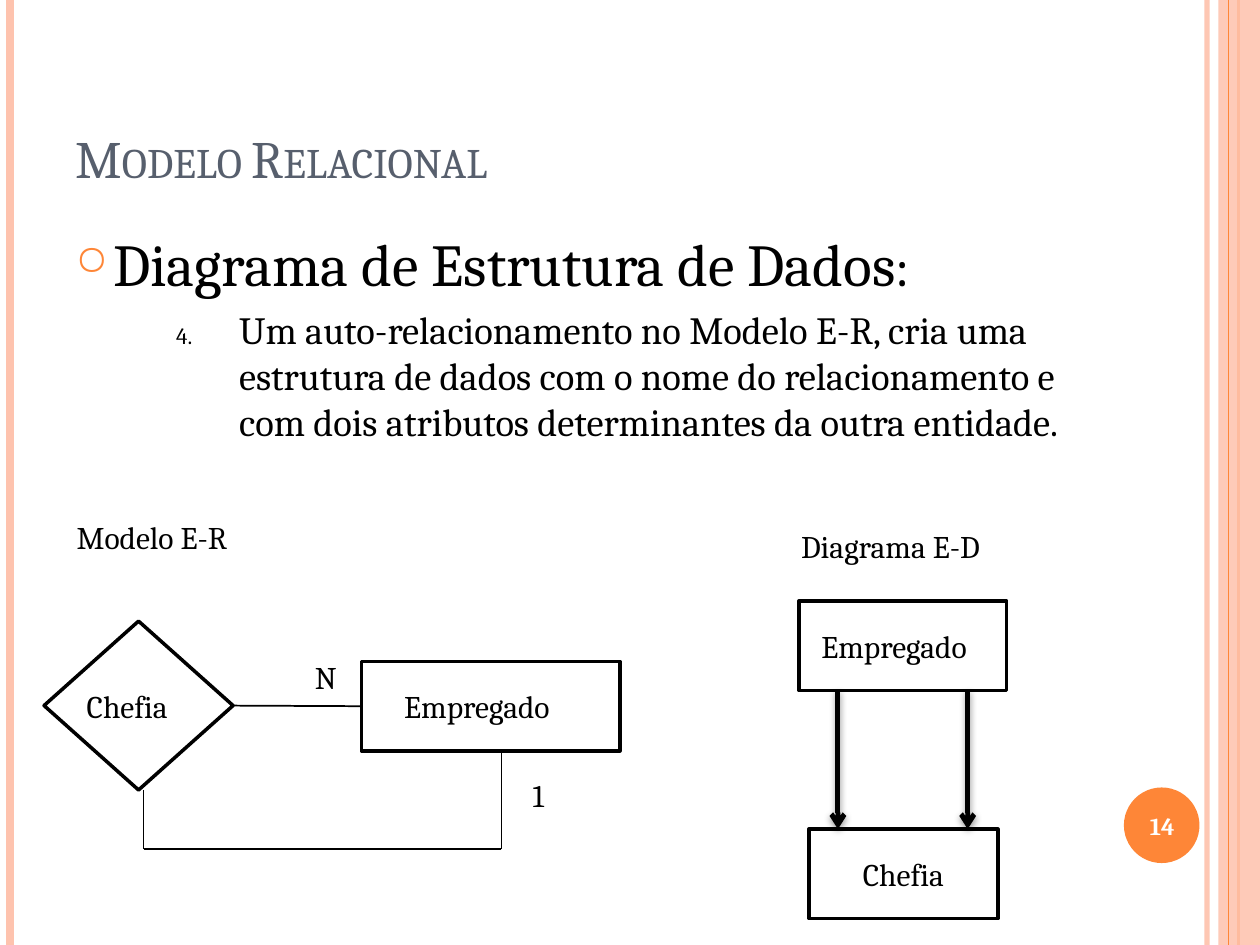
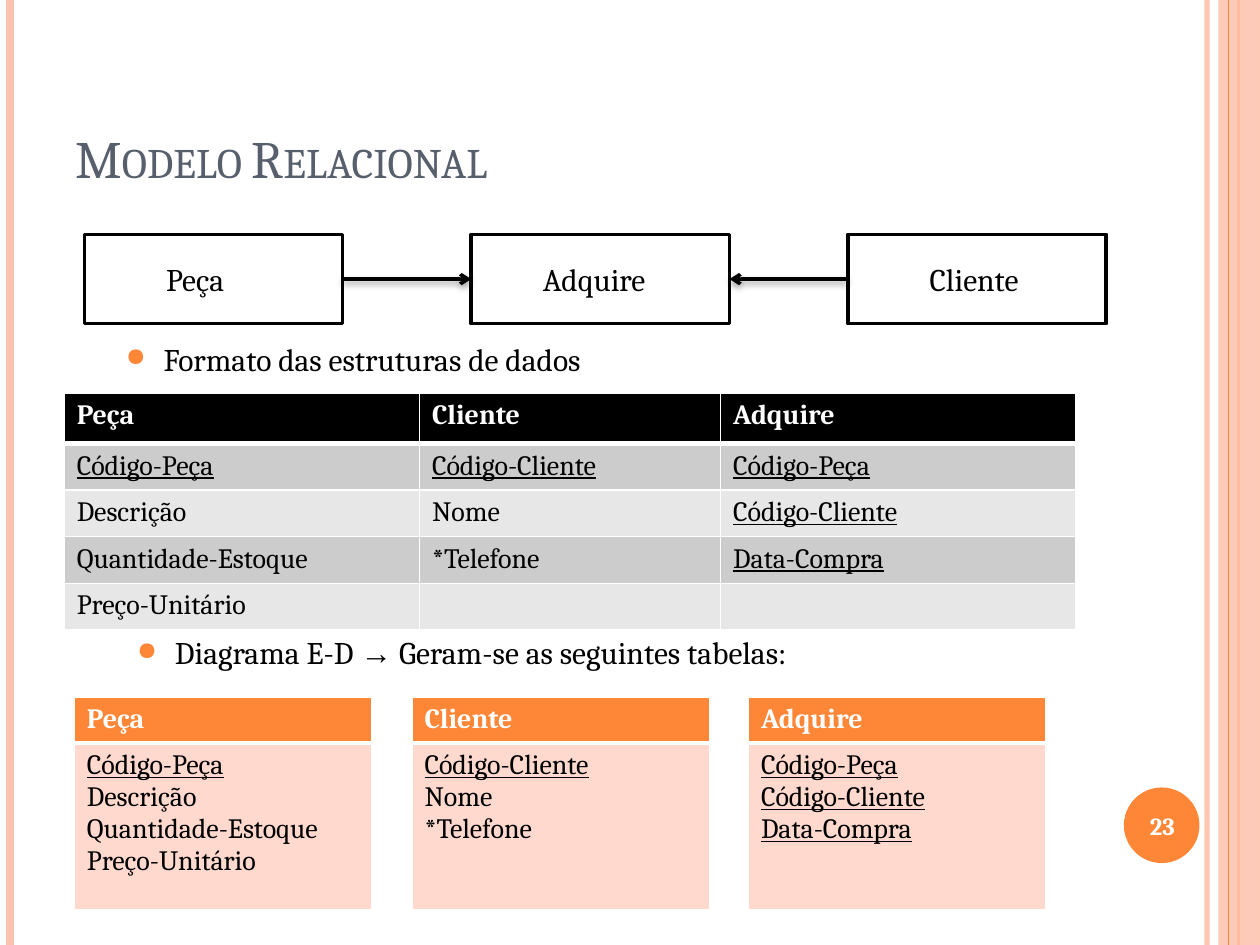
from dataclasses import dataclass
from itertools import pairwise
from typing import NamedTuple, Optional

from lxml.etree import SubElement
from pptx import Presentation
from pptx.dml.color import RGBColor
from pptx.enum.shapes import MSO_CONNECTOR, MSO_SHAPE
from pptx.enum.text import MSO_ANCHOR, MSO_AUTO_SIZE, PP_ALIGN
from pptx.oxml.ns import qn
from pptx.util import Inches, Pt


@dataclass(frozen=True)
class Theme:
    """Colours, fonts and type sizes of the deck."""

    font: str = "Cambria"
    symbol_font: str = "Times New Roman"
    black: RGBColor = RGBColor(0, 0, 0)
    white: RGBColor = RGBColor(255, 255, 255)
    title: RGBColor = RGBColor.from_string("575F6D")
    orange: RGBColor = RGBColor.from_string("FE8637")
    peach: RGBColor = RGBColor.from_string("FEC3AE")
    pale: RGBColor = RGBColor.from_string("FFD9CE")
    grey_dark: RGBColor = RGBColor.from_string("CCCCCC")
    grey_light: RGBColor = RGBColor.from_string("E7E7E7")
    title_size: int = 30
    heading_size: int = 34
    colon_size: int = 31
    item_size: int = 22
    label_size: int = 18
    cell_size: int = 16
    number_size: int = 14


THEME = Theme()


class Words(NamedTuple):
    """A run of text with its formatting."""

    text: str
    size: int = THEME.label_size
    color: RGBColor = THEME.black
    bold: bool = False
    underline: bool = False
    font: str = THEME.font


class Band(NamedTuple):
    """A vertical line over the full slide height."""

    x: float
    color: RGBColor
    weight: float
    alpha: int = 100


class Bullet(NamedTuple):
    """A bullet or number with its indents."""

    margin: float
    hanging: float
    percent: int
    char: str = ""
    start: int = 1
    level: int = 0


class Node(NamedTuple):
    """An outlined diagram shape and the place of its label."""

    label: str
    left: float
    top: float
    width: float
    label_left: float
    label_width: float
    height: float = 0.71
    kind: MSO_SHAPE = MSO_SHAPE.RECTANGLE


class Shadow(NamedTuple):
    """A soft shadow straight below a line."""

    alpha: int
    distance: float


class Entity(NamedTuple):
    """A data structure and its attributes, key attributes first."""

    name: str
    attributes: tuple[str, ...]
    keys: int
    left: float


BANDS = (Band(9.58, THEME.peach, 3, 93), Band(0.08, THEME.peach, 4.5),
         Band(9.83, THEME.orange, 1.5))
INNER_BAND = Band(9.75, THEME.orange, 0.75)
DISC = Bullet(0.7, -0.3, 80, "●", level=1)
ENTITIES = (
    Entity("Peça", ("Código-Peça", "Descrição", "Quantidade-Estoque", "Preço-Unitário"), 1, 0.59),
    Entity("Cliente", ("Código-Cliente", "Nome", "*Telefone"), 1, 3.27),
    Entity("Adquire", ("Código-Peça", "Código-Cliente", "Data-Compra"), 3, 5.94),
)


def write(paragraph, *runs: Words) -> None:
    """Add formatted runs to a paragraph."""
    for words in runs:
        run = paragraph.add_run()
        run.text = words.text
        font = run.font
        font.name, font.size, font.bold = words.font, Pt(words.size), words.bold
        font.underline = words.underline
        font.color.rgb = words.color


def text_box(slide, left: float, top: float, width: float, height: float, wrap: bool = True):
    """Add an empty text box and return its text frame."""
    frame = slide.shapes.add_textbox(Inches(left), Inches(top), Inches(width), Inches(height)).text_frame
    frame.word_wrap = wrap
    return frame


def label(slide, text: str, left: float, top: float, width: float) -> None:
    """Add a one-line diagram label."""
    frame = text_box(slide, left, top, width, 0.4, wrap=False)
    frame.auto_size = MSO_AUTO_SIZE.SHAPE_TO_FIT_TEXT
    write(frame.paragraphs[0], Words(text))


def set_alpha(shape, percent: int) -> None:
    """Make the colour of a shape or line partly transparent."""
    color = next(shape._element.spPr.iter(qn("a:srgbClr")))
    SubElement(color, qn("a:alpha"), val=str(percent * 1000))


def set_bullet(paragraph, bullet: Bullet) -> None:
    """Give a paragraph its bullet and indents."""
    props = paragraph._p.get_or_add_pPr()
    props.set("marL", str(Inches(bullet.margin)))
    props.set("indent", str(Inches(bullet.hanging)))
    paragraph.level = bullet.level
    if bullet.char:
        SubElement(SubElement(props, qn("a:buClr")), qn("a:srgbClr"), val=str(THEME.orange))
    SubElement(props, qn("a:buSzPct"), val=str(bullet.percent * 1000))
    if bullet.char:
        SubElement(props, qn("a:buChar"), char=bullet.char)
    else:
        SubElement(props, qn("a:buAutoNum"), type="arabicPeriod", startAt=str(bullet.start))


def line(slide, start: tuple[float, float], end: tuple[float, float], color: RGBColor = THEME.black,
         weight: float = 1, shadow: Optional[Shadow] = None):
    """Draw a straight line; one with a shadow is an arrow."""
    points = [Inches(value) for value in (*start, *end)]
    connector = slide.shapes.add_connector(MSO_CONNECTOR.STRAIGHT, *points)
    connector.line.color.rgb = color
    connector.line.width = Pt(weight)
    props = connector._element.spPr
    effects = SubElement(props, qn("a:effectLst"))
    if shadow:
        SubElement(props.find(qn("a:ln")), qn("a:tailEnd"), type="arrow")
        outer = SubElement(effects, qn("a:outerShdw"), blurRad=str(Pt(4)),
                           dist=str(Pt(shadow.distance)), dir="5400000", rotWithShape="0")
        tint = SubElement(outer, qn("a:srgbClr"), val=str(THEME.black))
        SubElement(tint, qn("a:alpha"), val=str(shadow.alpha * 1000))
    return connector


def join(connector, source, source_side: int, target, target_side: int) -> None:
    """Glue a connector to the sides of two shapes."""
    connector.begin_connect(source, source_side)
    connector.end_connect(target, target_side)


def filled(slide, kind: MSO_SHAPE, left: float, top: float, width: float, height: float, color: RGBColor):
    """Draw a filled shape without an outline."""
    shape = slide.shapes.add_shape(kind, Inches(left), Inches(top), Inches(width), Inches(height))
    shape.shadow.inherit = False
    shape.fill.solid()
    shape.fill.fore_color.rgb = color
    shape.line.fill.background()
    return shape


def draw_node(slide, node: Node):
    """Draw a diagram shape with its label centred in height."""
    shape = slide.shapes.add_shape(node.kind, Inches(node.left), Inches(node.top),
                                   Inches(node.width), Inches(node.height))
    shape.shadow.inherit = False
    shape.fill.background()
    shape.line.color.rgb = THEME.black
    shape.line.width = Pt(2)
    label(slide, node.label, node.label_left, node.top + node.height / 2 - 0.2, node.label_width)
    return shape


def draw_band(slide, band: Band) -> None:
    """Draw one vertical band line."""
    connector = line(slide, (band.x, 0), (band.x, 7.5), band.color, band.weight)
    if band.alpha < 100:
        set_alpha(connector, band.alpha)


def new_slide(prs, number: int):
    """Add a slide with bands, title and page number."""
    slide = prs.slides.add_slide(prs.slide_layouts[6])
    for band in BANDS:
        draw_band(slide, band)
    set_alpha(filled(slide, MSO_SHAPE.RECTANGLE, 9.67, 0, 0.33, 7.5, THEME.peach), 87)
    draw_band(slide, INNER_BAND)
    filled(slide, MSO_SHAPE.OVAL, 8.92, 6.25, 0.6, 0.6, THEME.orange)
    title = text_box(slide, 0.5, 0.3, 8.17, 1.25)
    title.vertical_anchor = MSO_ANCHOR.BOTTOM
    write(title.paragraphs[0], Words("Modelo Relacional", THEME.title_size, THEME.title))
    title.paragraphs[0].runs[0]._r.get_or_add_rPr().set("cap", "small")
    page = text_box(slide, 8.89, 6.27, 0.67, 0.57)
    page.vertical_anchor = MSO_ANCHOR.MIDDLE
    page.paragraphs[0].alignment = PP_ALIGN.CENTER
    write(page.paragraphs[0], Words(str(number), THEME.number_size, THEME.white, bold=True))
    return slide


def add_grid(slide, left: float, top: float, widths: list[float], heights: list[float]):
    """Add an unbanded table with the given column and row sizes."""
    table = slide.shapes.add_table(len(heights), len(widths), Inches(left), Inches(top),
                                   Inches(sum(widths)), Inches(sum(heights))).table
    table.horz_banding = False
    for column, width in zip(table.columns, widths):
        column.width = Inches(width)
    for row, height in zip(table.rows, heights):
        row.height = Inches(height)
    return table


def fill_cell(table, row: int, column: int, fill: RGBColor, *lines: Words) -> None:
    """Set the borders, fill and lines of text of a cell."""
    cell = table.cell(row, column)
    props = cell._tc.get_or_add_tcPr()
    thick = {0: "a:lnB", 1: "a:lnT"}.get(row)
    for side in ("a:lnL", "a:lnR", "a:lnT", "a:lnB"):
        border = SubElement(props, qn(side), w=str(Pt(3 if side == thick else 1)))
        SubElement(SubElement(border, qn("a:solidFill")), qn("a:srgbClr"), val=str(THEME.white))
    cell.fill.solid()
    cell.fill.fore_color.rgb = fill
    frame = cell.text_frame
    for index, words in enumerate(lines):
        write(frame.add_paragraph() if index else frame.paragraphs[0], words)
    if not lines:
        SubElement(frame.paragraphs[0]._p, qn("a:endParaRPr"), sz=str(THEME.cell_size * 100))


def header(entity: Entity) -> Words:
    """Return the header text of an entity."""
    return Words(entity.name, THEME.cell_size, THEME.white, bold=True)


def attribute_lines(entity: Entity) -> list[Words]:
    """Return the attributes of an entity with the keys underlined."""
    return [Words(name, THEME.cell_size, underline=index < entity.keys)
            for index, name in enumerate(entity.attributes)]


def self_relation_slide(prs) -> None:
    """Build the slide on self-relationships."""
    slide = new_slide(prs, 14)
    body = text_box(slide, 0.5, 1.75, 8.17, 4.76)
    heading, item = body.paragraphs[0], body.add_paragraph()
    set_bullet(heading, Bullet(0.3, -0.3, 70, "○"))
    write(heading, Words("Diagrama de Estrutura de Dados", THEME.heading_size), Words(":", THEME.colon_size))
    set_bullet(item, Bullet(1.3, -0.5, 60, start=4, level=2))
    item.space_before = Pt(THEME.item_size * 0.2)
    write(item, Words("Um auto-relacionamento no Modelo E-R, cria uma estrutura de dados com o nome do "
                      "relacionamento e com dois atributos determinantes da outra entidade.", THEME.item_size))
    label(slide, "Modelo E-R", 0.51, 4.06, 1.53)
    label(slide, "Diagrama E-D", 6.26, 4.13, 1.8)
    relation = draw_node(slide, Node("Chefia", 0.35, 4.93, 1.5, 0.59, 0.93, 1.34, MSO_SHAPE.DIAMOND))
    employee = draw_node(slide, Node("Empregado", 2.87, 5.25, 2.05, 3.11, 1.51))
    join(line(slide, (1.85, 5.6), (2.87, 5.6)), relation, 3, employee, 1)
    for start, end in pairwise([(1.14, 6.27), (1.14, 6.74), (3.98, 6.74), (3.98, 5.96)]):
        line(slide, start, end)
    label(slide, "N", 2.4, 5.17, 0.38)
    label(slide, "1", 4.13, 6.11, 0.34)
    draw_node(slide, Node("Empregado", 6.34, 4.77, 1.65, 6.42, 1.51))
    draw_node(slide, Node("Chefia", 6.42, 6.58, 1.5, 6.75, 0.93))
    for x in (6.65, 7.68):
        line(slide, (x, 5.48), (x, 6.58), weight=2.75, shadow=Shadow(42, 1.6))


def structures_slide(prs) -> None:
    """Build the slide on data structures and their tables."""
    slide = new_slide(prs, 23)
    part, purchase, client = [draw_node(slide, node) for node in (
        Node("Peça", 0.67, 1.86, 2.05, 1.22, 0.87),
        Node("Adquire", 3.74, 1.86, 2.05, 4.21, 1.07),
        Node("Cliente", 6.73, 1.86, 2.05, 7.28, 0.99))]
    for source, source_side, target_side, start, end in (
            (part, 3, 1, 2.72, 3.74), (client, 1, 3, 6.73, 5.79)):
        arrow = line(slide, (start, 2.21), (end, 2.21), weight=2, shadow=Shadow(40, 2))
        join(arrow, source, source_side, purchase, target_side)
    formats = text_box(slide, 0.5, 2.65, 8.17, 0.39).paragraphs[0]
    set_bullet(formats, DISC)
    write(formats, Words("Formato das estruturas de dados"))
    grid = add_grid(slide, 0.51, 3.12, [2.82, 2.39, 2.82], [0.4] + [0.37] * 4)
    for column, entity in enumerate(ENTITIES):
        fill_cell(grid, 0, column, THEME.black, header(entity))
        attributes = attribute_lines(entity)
        for row in range(1, 5):
            fill = THEME.grey_dark if row % 2 else THEME.grey_light
            fill_cell(grid, row, column, fill, *attributes[row - 1:row])
    tables = text_box(slide, 0.59, 5.01, 8.17, 0.39).paragraphs[0]
    set_bullet(tables, DISC)
    tables.line_spacing = 0.9
    write(tables, Words("Diagrama E-D "), Words("→", font=THEME.symbol_font),
          Words(" Geram-se as seguintes tabelas:"))
    for entity in ENTITIES:
        card = add_grid(slide, entity.left, 5.53, [2.36], [0.36, 1.32])
        fill_cell(card, 0, 0, THEME.orange, header(entity))
        fill_cell(card, 1, 0, THEME.pale, *attribute_lines(entity))


def main() -> None:
    """Build and save the deck."""
    prs = Presentation()
    prs.slide_width, prs.slide_height = Inches(10), Inches(7.5)
    self_relation_slide(prs)
    structures_slide(prs)
    prs.save("out.pptx")


if __name__ == "__main__":
    main()
